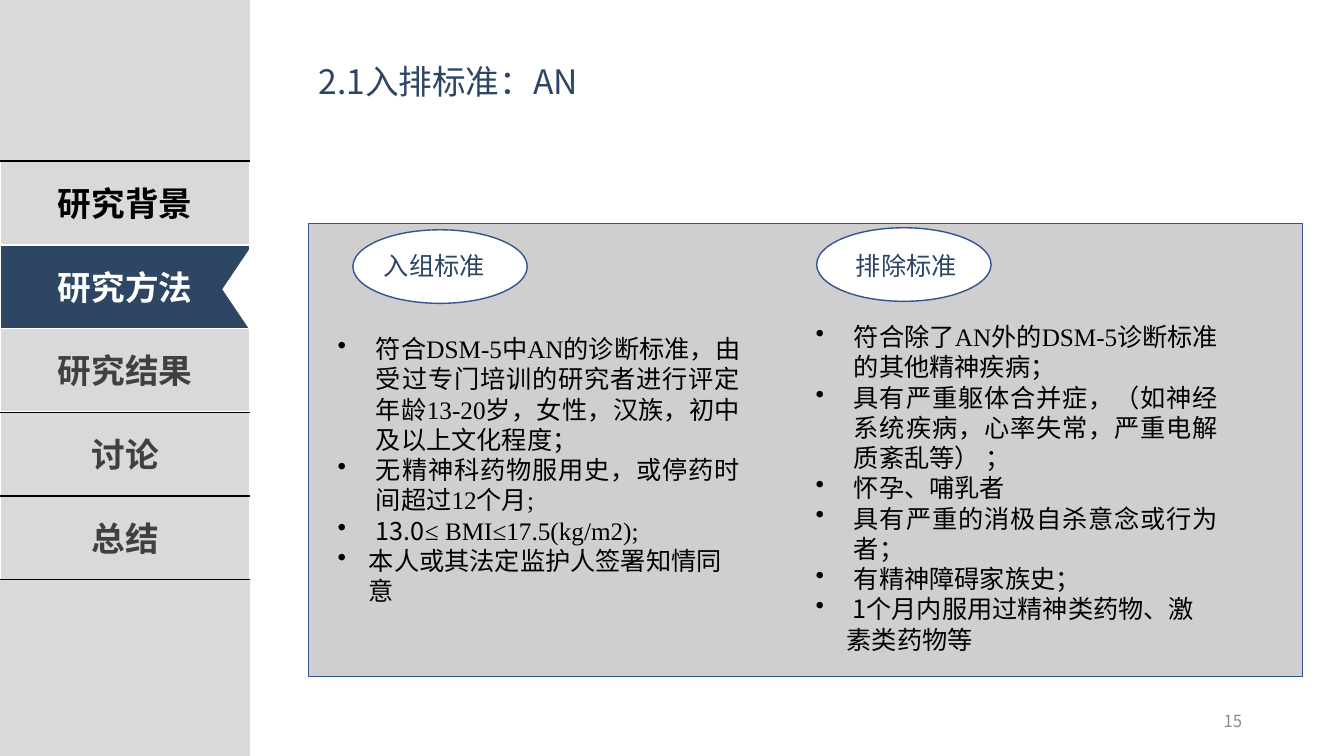
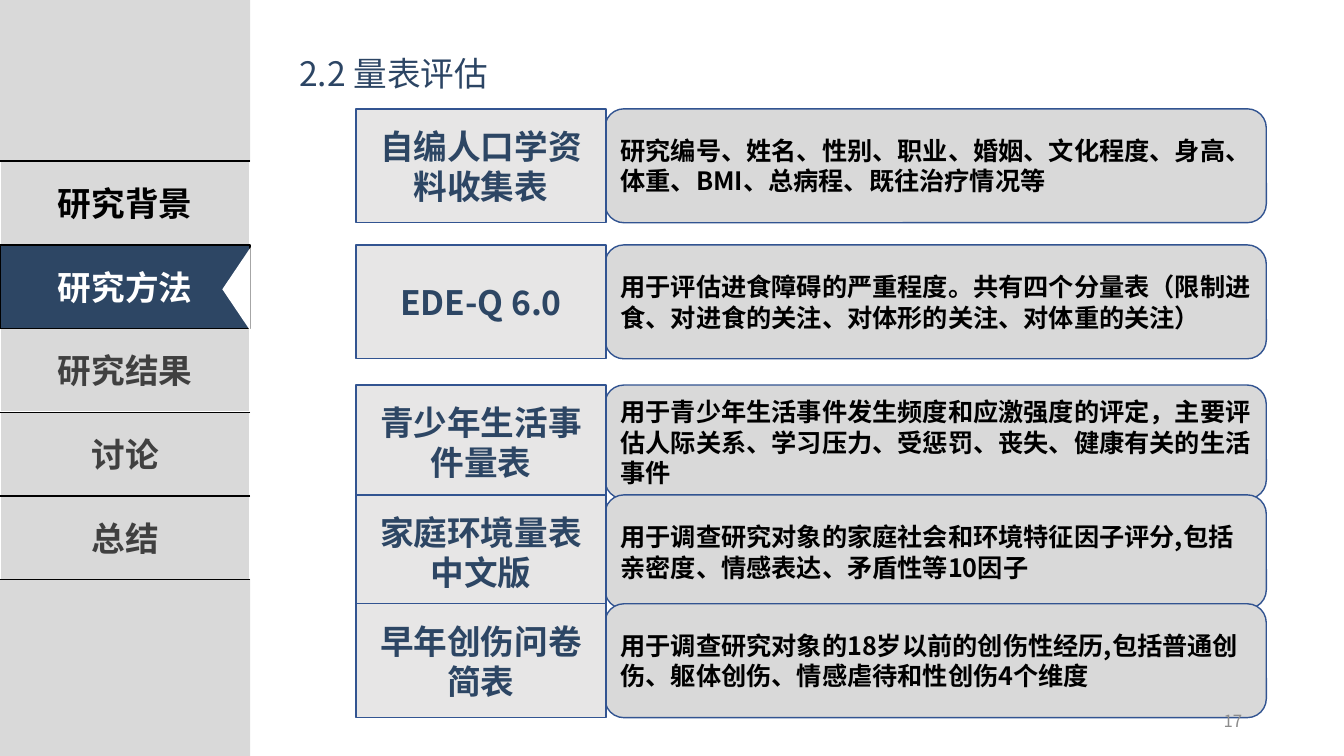
"""Build two research-method slides that share a navigation sidebar."""
from dataclasses import dataclass
from typing import NamedTuple, Optional

from lxml.etree import SubElement
from pptx import Presentation
from pptx.dml.color import RGBColor
from pptx.enum.shapes import MSO_CONNECTOR, MSO_SHAPE
from pptx.enum.text import MSO_ANCHOR, PP_ALIGN
from pptx.oxml.ns import qn
from pptx.shapes.autoshape import Shape
from pptx.slide import Slide
from pptx.text.text import Font
from pptx.util import Emu, Pt

EMU_PER_PX = 9144
SLIDE_WIDTH, SLIDE_HEIGHT = 1333, 750
SANS, SERIF = "Noto Sans CJK SC", "Times New Roman"
BLACK, WHITE, DARK_GRAY, PAGE_GRAY = "000000", "FFFFFF", "404040", "8C8C8C"
SIDEBAR_GRAY, PANEL_GRAY, LABEL_GRAY = "D9D9D9", "D0CECE", "E7E6E6"
NAVY, TITLE_NAVY, OUTLINE_BLUE = "2D4664", "2C4564", "325491"

SECTIONS = ["研究背景", "研究方法", "研究结果", "讨论", "总结"]
ACTIVE_SECTION = 1
SIDEBAR_WIDTH, TAB_TOP, TAB_HEIGHT = 248, 160, 83


class Box(NamedTuple):
    left: int
    top: int
    width: int
    height: int


class TextStyle(NamedTuple):
    size: int
    color: str
    bold: bool = False
    align: PP_ALIGN = PP_ALIGN.LEFT
    font: str = SANS


TITLE = TextStyle(24, TITLE_NAVY)
HEADING = TextStyle(18, TITLE_NAVY)
CRITERIA = TextStyle(18, BLACK, align=PP_ALIGN.JUSTIFY, font=SERIF)
CLOSING = TextStyle(18, BLACK)
PAGE_NUMBER = TextStyle(12, PAGE_GRAY, align=PP_ALIGN.RIGHT)
SCALE_NAME = TextStyle(24, NAVY, True, PP_ALIGN.CENTER)
SCALE_USE = TextStyle(18, BLACK, True)


@dataclass(frozen=True)
class Bullet:
    text: str
    style: TextStyle = CRITERIA
    indent: int = 38
    sans_lead: str = ""


@dataclass(frozen=True)
class CriteriaGroup:
    heading: str
    ellipse: Box
    heading_box: Box
    list_box: Box
    bullets: list[Bullet]


@dataclass(frozen=True)
class Scale:
    top: int
    name: str
    use: str


CRITERIA_GROUPS = [
    CriteriaGroup(
        "入组标准", Box(350, 228, 173, 73), Box(371, 243, 132, 40),
        Box(325, 326, 419, 283),
        [
            Bullet("符合DSM-5中AN的诊断标准，由受过专门培训的研究者进行评定"
                   "年龄13-20岁，女性，汉族，初中及以上文化程度；"),
            Bullet("无精神科药物服用史，或停药时间超过12个月;"),
            Bullet("≤ BMI≤17.5(kg/m2);", sans_lead="13.0"),
            Bullet("本人或其法定监护人签署知情同意", CLOSING, 31),
        ],
    ),
    CriteriaGroup(
        "排除标准", Box(810, 226, 173, 73), Box(839, 243, 132, 40),
        Box(799, 314, 419, 343),
        [
            Bullet("符合除了AN外的DSM-5诊断标准的其他精神疾病；"),
            Bullet("具有严重躯体合并症，（如神经系统疾病，心率失常，"
                   "严重电解质紊乱等） ；"),
            Bullet("怀孕、哺乳者"),
            Bullet("具有严重的消极自杀意念或行为者；"),
            Bullet("有精神障碍家族史；"),
            Bullet(" 1个月内服用过精神类药物、激素类药物等", CLOSING, 31),
        ],
    ),
]

SCALES = [
    Scale(108, "自编人口学资\n料收集表",
          "研究编号、姓名、性别、职业、婚姻、文化程度、身高、体重、BMI、"
          "总病程、既往治疗情况等"),
    Scale(243, "EDE-Q 6.0",
          "用于评估进食障碍的严重程度。共有四个分量表（限制进食、对进食的关注、"
          "对体形的关注、对体重的关注）"),
    Scale(382, "青少年生活事件量表",
          "用于青少年生活事件发生频度和应激强度的评定，主要评估人际关系、"
          "学习压力、受惩罚、丧失、健康有关的生活事件"),
    Scale(491, "家庭环境量表中文版",
          "用于调查研究对象的家庭社会和环境特征因子评分,包括亲密度、情感表达、"
          "矛盾性等10因子"),
    Scale(599, "早年创伤问卷简表",
          "用于调查研究对象的18岁以前的创伤性经历,包括普通创伤、躯体创伤、"
          "情感虐待和性创伤4个维度"),
]


def px(length: int) -> Emu:
    """Turn pixels into EMU."""
    return Emu(length * EMU_PER_PX)


def rgb(color: str) -> RGBColor:
    """Turn a hex string into a colour."""
    return RGBColor.from_string(color)


def style_font(font: Font, style: TextStyle) -> None:
    """Apply a text style to a font."""
    font.name = style.font
    font.size = Pt(style.size)
    font.bold = style.bold
    font.color.rgb = rgb(style.color)


def set_east_asian_font(shape: Shape) -> None:
    """Give every paragraph of a shape the East Asian typeface."""
    for properties in shape.element.iter(qn("a:defRPr")):
        SubElement(properties, qn("a:ea")).set("typeface", SANS)


def write_text(shape: Shape, text: str, style: TextStyle) -> None:
    """Write one paragraph per line of text."""
    frame = shape.text_frame
    frame.word_wrap = True
    frame.text = text
    for paragraph in frame.paragraphs:
        paragraph.alignment = style.align
        style_font(paragraph.font, style)
    set_east_asian_font(shape)


def add_box(slide: Slide, kind: MSO_SHAPE, box: Box, fill: str,
            outline: Optional[str] = None) -> Shape:
    """Draw a filled preset shape."""
    shape = slide.shapes.add_shape(kind, *map(px, box))
    shape.shadow.inherit = False
    shape.fill.solid()
    shape.fill.fore_color.rgb = rgb(fill)
    if outline:
        shape.line.color.rgb = rgb(outline)
        shape.line.width = Pt(1)
    else:
        shape.line.fill.background()
    return shape


def add_label(slide: Slide, box: Box, text: str, style: TextStyle) -> Shape:
    """Draw a plain text box."""
    label = slide.shapes.add_textbox(*map(px, box))
    write_text(label, text, style)
    return label


def add_rule(slide: Slide, top: int, width: float = 1) -> None:
    """Draw a horizontal line across the sidebar."""
    rule = slide.shapes.add_connector(
        MSO_CONNECTOR.STRAIGHT, px(SIDEBAR_WIDTH), px(top), px(0), px(top))
    rule.line.color.rgb = rgb(BLACK)
    rule.line.width = Pt(width)
    SubElement(rule.element.find(qn("p:spPr")), qn("a:effectLst"))


def add_tab(slide: Slide, index: int, fill: str, color: str, outline: str) -> None:
    """Draw one section tab of the sidebar."""
    box = Box(0, TAB_TOP + index * TAB_HEIGHT, SIDEBAR_WIDTH, TAB_HEIGHT)
    tab = add_box(slide, MSO_SHAPE.RECTANGLE, box, fill, outline)
    write_text(tab, SECTIONS[index], TextStyle(24, color, True, PP_ALIGN.CENTER))


def add_sidebar(slide: Slide, active_outline: str) -> None:
    """Draw the sidebar with its tabs, rules and active marker."""
    add_box(slide, MSO_SHAPE.RECTANGLE,
            Box(0, 0, SIDEBAR_WIDTH, SLIDE_HEIGHT), SIDEBAR_GRAY)
    for index in range(len(SECTIONS)):
        if index != ACTIVE_SECTION:
            color = BLACK if index < ACTIVE_SECTION else DARK_GRAY
            add_tab(slide, index, SIDEBAR_GRAY, color, WHITE)
    add_rule(slide, TAB_TOP - 1, 0.5)
    for index in range(len(SECTIONS) + 1):
        add_rule(slide, TAB_TOP + index * TAB_HEIGHT)
    add_tab(slide, ACTIVE_SECTION, NAVY, WHITE, active_outline)
    notch = add_box(slide, MSO_SHAPE.FLOWCHART_MERGE,
                    Box(193, 273, TAB_HEIGHT, 28), WHITE)
    notch.rotation = 90


def add_page_number(slide: Slide, number: int) -> None:
    """Write the page number at the lower right."""
    label = add_label(slide, Box(942, 695, 300, 40), str(number), PAGE_NUMBER)
    label.text_frame.vertical_anchor = MSO_ANCHOR.MIDDLE


def add_bullets(slide: Slide, box: Box, bullets: list[Bullet]) -> None:
    """Draw a bulleted list with hanging indents."""
    text_box = slide.shapes.add_textbox(*map(px, box))
    frame = text_box.text_frame
    frame.word_wrap = True
    for index, bullet in enumerate(bullets):
        paragraph = frame.add_paragraph() if index else frame.paragraphs[0]
        paragraph.alignment = bullet.style.align
        style_font(paragraph.font, bullet.style)
        if bullet.sans_lead:
            lead = paragraph.add_run()
            lead.text = bullet.sans_lead
            lead.font.name = SANS
        paragraph.add_run().text = bullet.text
    set_east_asian_font(text_box)
    for bullet, properties in zip(bullets, text_box.element.iter(qn("a:pPr"))):
        properties.set("marL", str(px(bullet.indent)))
        properties.set("indent", str(px(-bullet.indent)))
        mark = SubElement(properties, qn("a:buChar"))
        mark.set("char", "•")
        properties.find(qn("a:defRPr")).addprevious(mark)


def build_criteria_slide(slide: Slide) -> None:
    """Draw the inclusion and exclusion criteria."""
    add_sidebar(slide, WHITE)
    add_box(slide, MSO_SHAPE.RECTANGLE, Box(306, 222, 986, 449),
            PANEL_GRAY, OUTLINE_BLUE)
    add_label(slide, Box(306, 55, 345, 91), "2.1入排标准：AN", TITLE)
    for group in CRITERIA_GROUPS:
        add_bullets(slide, group.list_box, group.bullets)
        add_box(slide, MSO_SHAPE.OVAL, group.ellipse, WHITE, OUTLINE_BLUE)
        add_label(slide, group.heading_box, group.heading, HEADING)
    add_page_number(slide, 15)


def build_scales_slide(slide: Slide) -> None:
    """Draw the rating scales with their uses."""
    add_sidebar(slide, BLACK)
    add_label(slide, Box(287, 48, 380, 50), "2.2 量表评估", TITLE)
    for scale in SCALES:
        use = add_box(slide, MSO_SHAPE.ROUNDED_RECTANGLE,
                      Box(600, scale.top, 656, 113), SIDEBAR_GRAY, OUTLINE_BLUE)
        write_text(use, scale.use, SCALE_USE)
        name = add_box(slide, MSO_SHAPE.RECTANGLE,
                       Box(353, scale.top, 248, 113), LABEL_GRAY, OUTLINE_BLUE)
        write_text(name, scale.name, SCALE_NAME)
    add_page_number(slide, 17)


def main() -> None:
    """Build and save the presentation."""
    presentation = Presentation()
    presentation.slide_width = px(SLIDE_WIDTH)
    presentation.slide_height = px(SLIDE_HEIGHT)
    blank_layout = presentation.slide_layouts[6]
    for build in (build_criteria_slide, build_scales_slide):
        build(presentation.slides.add_slide(blank_layout))
    presentation.save("out.pptx")


if __name__ == "__main__":
    main()
